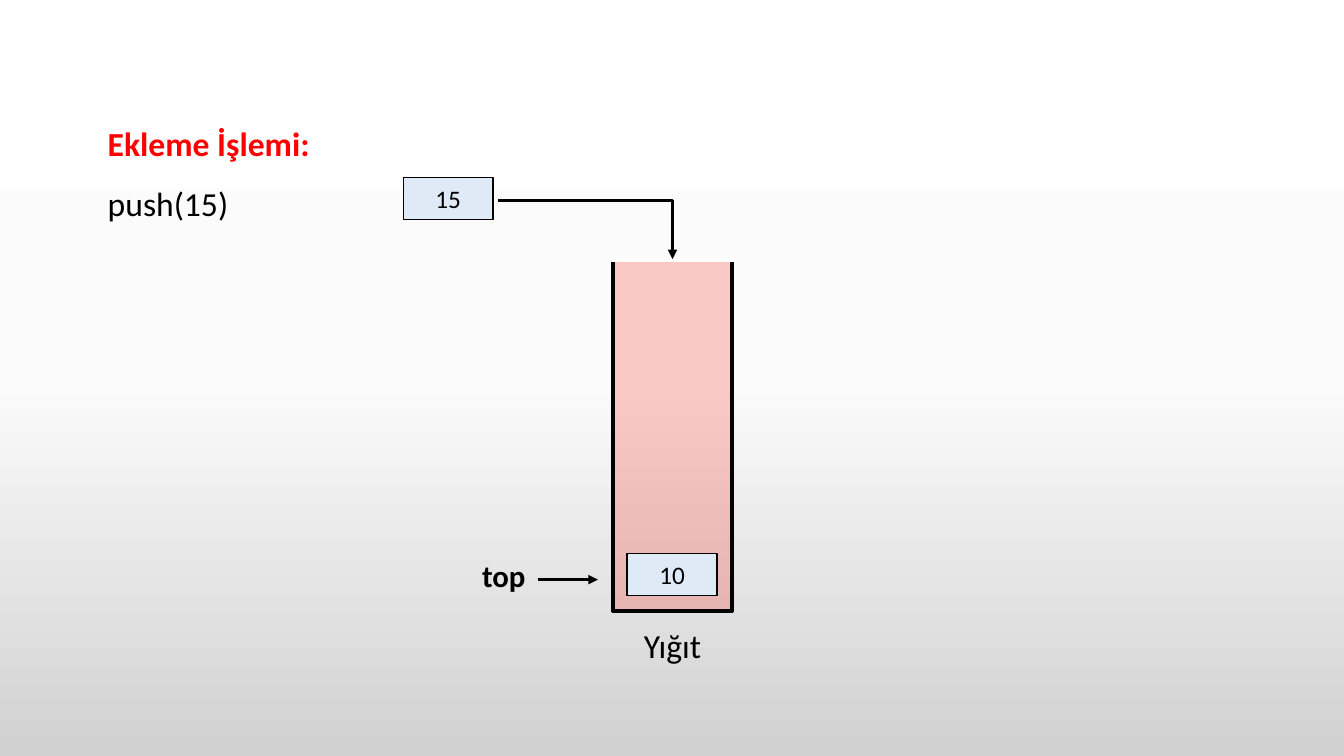
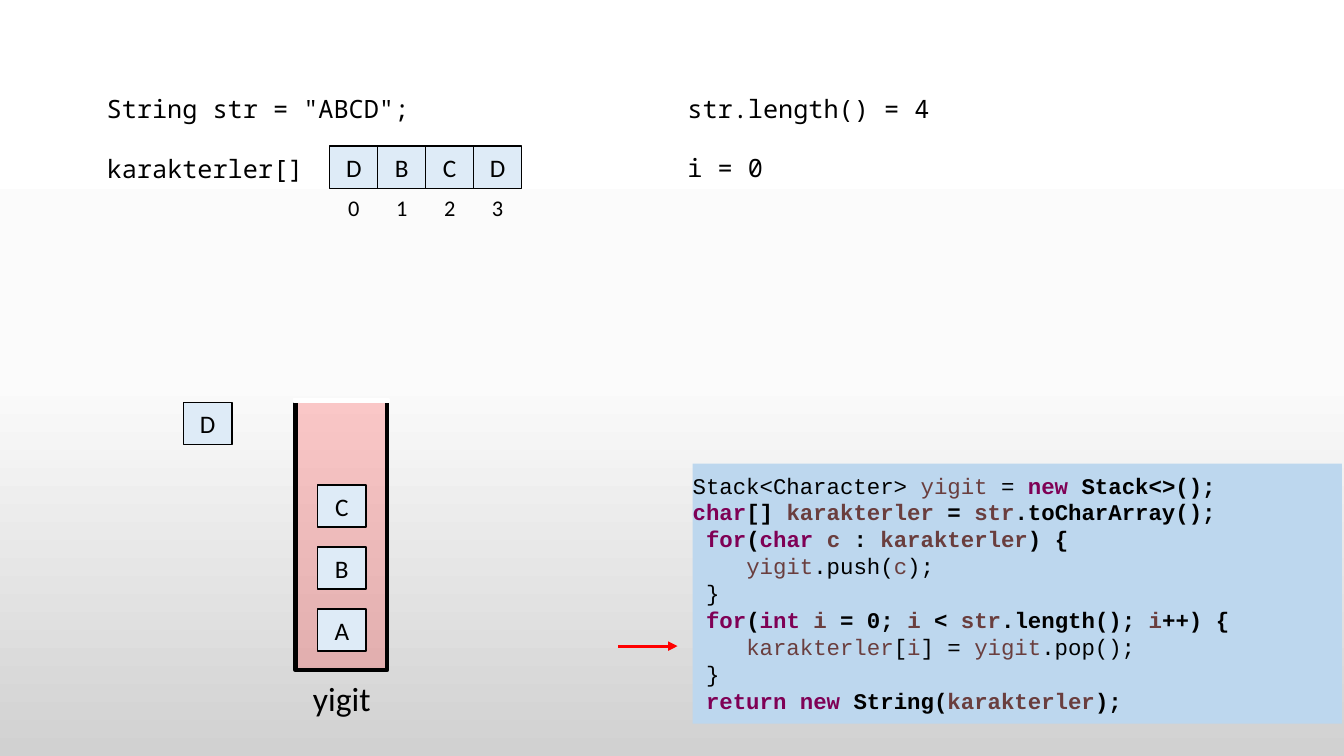
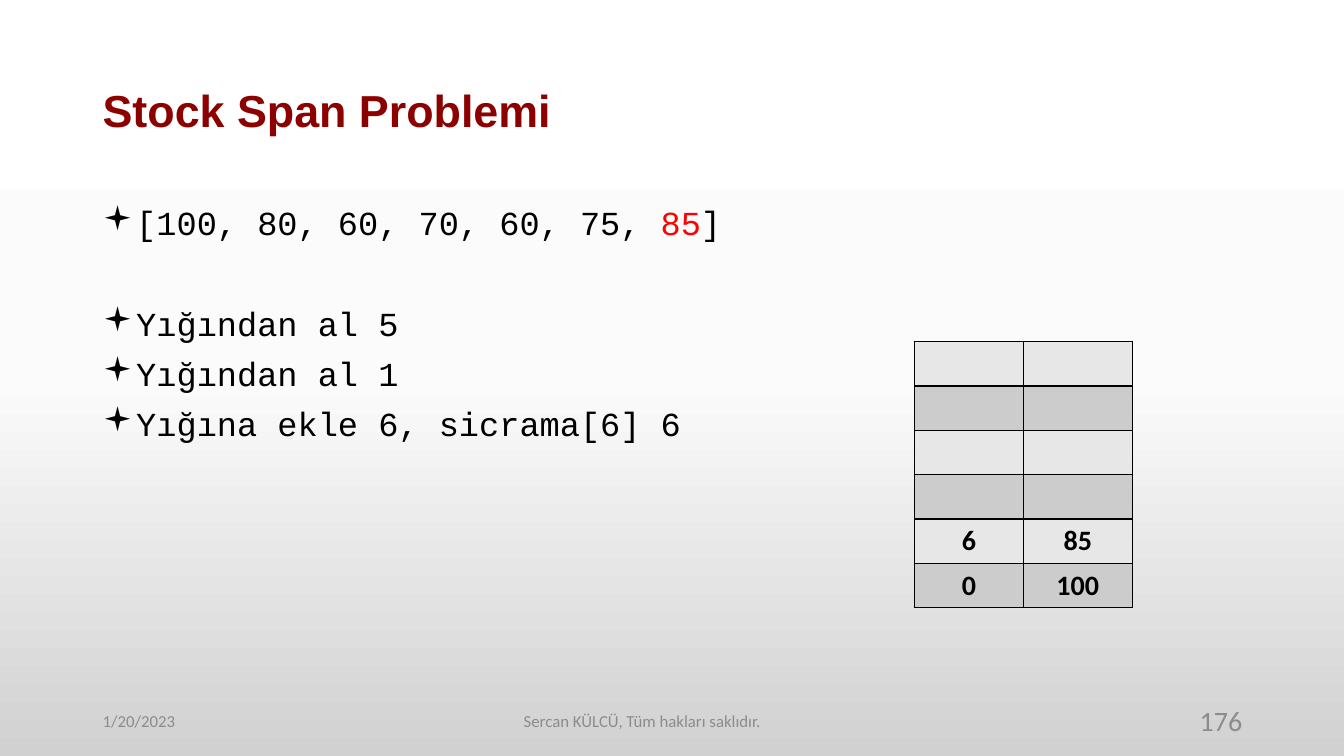
"""Build three slides on stacks: a push, a string reversal and the stock span problem."""
from copy import deepcopy
from itertools import groupby

from lxml import etree
from pptx import Presentation
from pptx.dml.color import RGBColor
from pptx.enum.shapes import MSO_CONNECTOR, MSO_SHAPE
from pptx.enum.text import MSO_ANCHOR, PP_ALIGN
from pptx.oxml.ns import qn
from pptx.util import Inches, Pt

RECT, LINE = MSO_SHAPE.RECTANGLE, MSO_CONNECTOR.STRAIGHT
LEFT, MID, RIGHT = PP_ALIGN.LEFT, PP_ALIGN.CENTER, PP_ALIGN.RIGHT
TOP, CORE = MSO_ANCHOR.TOP, MSO_ANCHOR.MIDDLE


class Theme:
    """Colours and type styles."""
    black, white, red = "000000", "FFFFFF", "FF0000"
    cell, code, maroon, grey = "DEEBF7", "BDD7EE", "8C0000", "8C8C8C"
    word, name = "7F0055", "6A3E3E"
    bands = ["E7E7E7", "CCCCCC"]
    grade = [(0, "FFFFFF"), (0.5, "FBFBFB"), (1, "D1D1D1")]
    label = dict(name="Calibri", size=Pt(24))
    item = dict(name="Calibri", size=Pt(18))
    index = dict(name="Calibri", size=Pt(16))
    mark = dict(name="Calibri", size=Pt(22), bold=True)
    mono = dict(name="Noto Sans Mono", size=Pt(18))
    source = dict(name="Courier New", size=Pt(16))
    list = dict(name="Courier New", size=Pt(24))
    title = dict(name="Arial", size=Pt(32), bold=True)
    value = dict(name="Calibri", size=Pt(20), bold=True)
    foot = dict(name="Calibri", size=Pt(12))
    page = dict(name="Calibri", size=Pt(20))


def write(frame, lines, font, color=Theme.black, **form):
    """Fill a text frame; a line is a string or a list of (text, format, colour)."""
    for i, line in enumerate(lines):
        par = frame.add_paragraph() if i else frame.paragraphs[0]
        for key, val in form.items():
            setattr(par, key, val)
        runs = [(line, {}, color)] if isinstance(line, str) else line
        for text, extra, tint in runs:
            run = par.add_run()
            run.text = text
            for key, val in {**font, **extra}.items():
                setattr(run.font, key, val)
            run.font.color.rgb = RGBColor.from_string(tint)


def box(page, at, lines=(), font=Theme.item, fill=None, edge=None, width=1,
        wrap=False, anchor=TOP, **form):
    """Add a filled rectangle, or a text box when no fill is given."""
    spot = [Inches(v) for v in at]
    if fill:
        shape = page.shapes.add_shape(RECT, *spot)
        shape.shadow.inherit = False
        shape.fill.solid()
        shape.fill.fore_color.rgb = RGBColor.from_string(fill)
        if edge:
            shape.line.color.rgb = RGBColor.from_string(edge)
            shape.line.width = Pt(width)
        else:
            shape.line.fill.background()
    else:
        shape = page.shapes.add_textbox(*spot)
    for key, val in dict(word_wrap=wrap, vertical_anchor=anchor).items():
        setattr(shape.text_frame, key, val)
    write(shape.text_frame, lines, font, **form)
    return shape


deck = Presentation()
deck.slide_width, deck.slide_height = Inches(13.33), Inches(7.5)

back = deck.slide_master.background.fill
back.gradient()
back.gradient_angle = 270
stops = deck.slide_master.element.find(".//" + qn("a:gsLst"))
stops.append(deepcopy(stops[-1]))
for stop, (place, tint) in zip(back.gradient_stops, Theme.grade):
    stop.position = place
    stop.color.rgb = RGBColor.from_string(tint)

push, turn, span = [deck.slides.add_slide(deck.slide_layouts[6]) for _ in range(3)]

tubs = [
    (push, (6.08, 2.57, 1.18, 3.49), 0.04, "Yığıt", (6.28, 6.15, 0.78, 0.5)),
    (turn, (2.93, 3.98, 0.91, 2.67), 0.03, "yigit", (3, 6.68, 0.78, 0.5)),
]
for page, (x, y, w, h), lid, name, spot in tubs:
    tub = box(page, (x, y, w, h), fill=Theme.red, edge=Theme.black, width=3)
    tint = tub.element.find(".//" + qn("a:srgbClr"))
    etree.SubElement(tint, qn("a:alpha")).set("val", "20000")
    box(page, (x - 0.02, y - 0.02, w + 0.04, lid), fill=Theme.white, edge=Theme.white)
    box(page, spot, [name], Theme.label, alignment=MID)

head = [("Ekleme İşlemi:", dict(bold=True), Theme.red)]
box(push, (0.97, 0.97, 2.22, 1.31), [head, "push(15)"], Theme.label, line_spacing=1.5)
box(push, (4.67, 5.47, 0.64, 0.47), ["top"], Theme.mark, alignment=RIGHT)

notes = [
    (0.96, 0.88, 3.25, 'String str = "ABCD";'),
    (0.96, 1.47, 2.18, "karakterler[]"),
    (6.72, 0.88, 2.64, "str.length() = 4"),
    (6.72, 1.46, 0.96, "i = 0"),
]
for x, y, w, text in notes:
    box(turn, (x, y, w, 0.4), [text], Theme.mono)

cells = [(push, 4, 1.76, 0.89, "15"), (push, 6.22, 5.49, 0.89, "10"),
         (turn, 1.82, 3.99, 0.48, "D")]
for i, text in enumerate("DBCD"):
    x = 3.27 + 0.475 * i
    cells.append((turn, x, 1.45, 0.48, text))
    box(turn, (x + 0.08, 1.88, 0.32, 0.37), [str(i)], Theme.index, alignment=MID)
for i, text in enumerate("ABC"):
    cells.append((turn, 3.15, 6.04 - 0.615 * i, 0.48, text))
for page, x, y, w, text in cells:
    box(page, (x, y, w, 0.42), [text], fill=Theme.cell, edge=Theme.black,
        anchor=CORE, alignment=MID)

arrows = [
    (push, "bentConnector2", (4.94, 1.99, 6.67, 2.57), Theme.black),
    (push, "line", (5.34, 5.75, 5.93, 5.75), Theme.black),
    (turn, "line", (6.13, 6.41, 6.72, 6.41), Theme.red),
]
for page, kind, ends, tint in arrows:
    arrow = page.shapes.add_connector(LINE, *[Inches(v) for v in ends])
    arrow.line.color.rgb = RGBColor.from_string(tint)
    arrow.line.width = Pt(2.25)
    props = arrow.element.spPr
    props.find(qn("a:prstGeom")).set("prst", kind)
    etree.SubElement(props.find(qn("a:ln")), qn("a:tailEnd")).set("type", "triangle")
    etree.SubElement(props, qn("a:effectLst"))

code = """Stack<Character> yigit = new Stack<>();
char[] karakterler = str.toCharArray();
 for(char c : karakterler) {
    yigit.push(c);
 }
 for(int i = 0; i < str.length(); i++) {
    karakterler[i] = yigit.pop();
 }
 return new String(karakterler);"""
inks = {**dict.fromkeys(["new", "char", "for", "int", "return"], Theme.word),
        **dict.fromkeys(["yigit", "karakterler", "str", "c", "i"], Theme.name)}
rows = []
for line in code.split("\n"):
    bold, runs = False, []
    for _, group in groupby(line, str.isalpha):
        part = "".join(group)
        tint = inks.get(part, Theme.black)
        bold = bold or tint == Theme.word
        runs.append((part, dict(bold=bold), tint))
    rows.append(runs)
panel = box(turn, (6.87, 4.6, 6.44, 2.58), rows, Theme.source, fill=Theme.code,
            wrap=True, alignment=LEFT)
for key, val in dict(left=0, right=0, top=0.08, bottom=0.08).items():
    setattr(panel.text_frame, "margin_" + key, Inches(val))

box(span, (0.92, 0.4, 11.5, 1.45), ["Stock Span Problemi"], Theme.title, wrap=True,
    anchor=CORE, color=Theme.maroon, line_spacing=0.9)
prices = [("[100, 80, 60, 70, 60, 75, ", {}, Theme.black), ("85", {}, Theme.red),
          ("]", {}, Theme.black)]
steps = [prices, "Yığından al 5", "Yığından al 1", "Yığına ekle 6, sicrama[6] 6"]
body = box(span, (0.92, 2, 11.5, 5.12), steps, Theme.list, wrap=True, line_spacing=0.9)
for par, gap in zip(body.text_frame.paragraphs, [0, 46, 10, 10]):
    par.space_before = Pt(gap)
    props = par._p.get_or_add_pPr()
    props.set("marL", str(Inches(0.25)))
    props.set("indent", str(-Inches(0.25)))
    etree.SubElement(props, qn("a:buFont")).set("typeface", "Wingdings")
    etree.SubElement(props, qn("a:buChar")).set("char", "▪")

feet = [
    (0.92, 3, "1/20/2023", Theme.foot, LEFT),
    (2.58, 7.58, "Sercan KÜLCÜ, Tüm hakları saklıdır.", Theme.foot, MID),
    (9.42, 3, "176", Theme.page, RIGHT),
]
for x, w, text, font, side in feet:
    box(span, (x, 6.95, w, 0.4), [text], font, wrap=True, anchor=CORE,
        color=Theme.grey, alignment=side)

data = [("", "")] * 4 + [("6", "85"), ("0", "100")]
spot = [Inches(v) for v in (9.07, 3.39, 2.16, 0.44 * len(data))]
grid = span.shapes.add_table(len(data), 2, *spot).table
for r, pair in enumerate(data):
    for c, text in enumerate(pair):
        cell = grid.cell(r, c)
        props = cell._tc.get_or_add_tcPr()
        for side in "LRTB":
            edge = etree.SubElement(props, qn("a:ln" + side), w=str(Pt(1)))
            solid = etree.SubElement(edge, qn("a:solidFill"))
            etree.SubElement(solid, qn("a:srgbClr")).set("val", Theme.black)
        cell.fill.solid()
        cell.fill.fore_color.rgb = RGBColor.from_string(Theme.bands[r % 2])
        cell.vertical_anchor = CORE
        if text:
            write(cell.text_frame, [text], Theme.value, alignment=MID)

deck.save("out.pptx")
